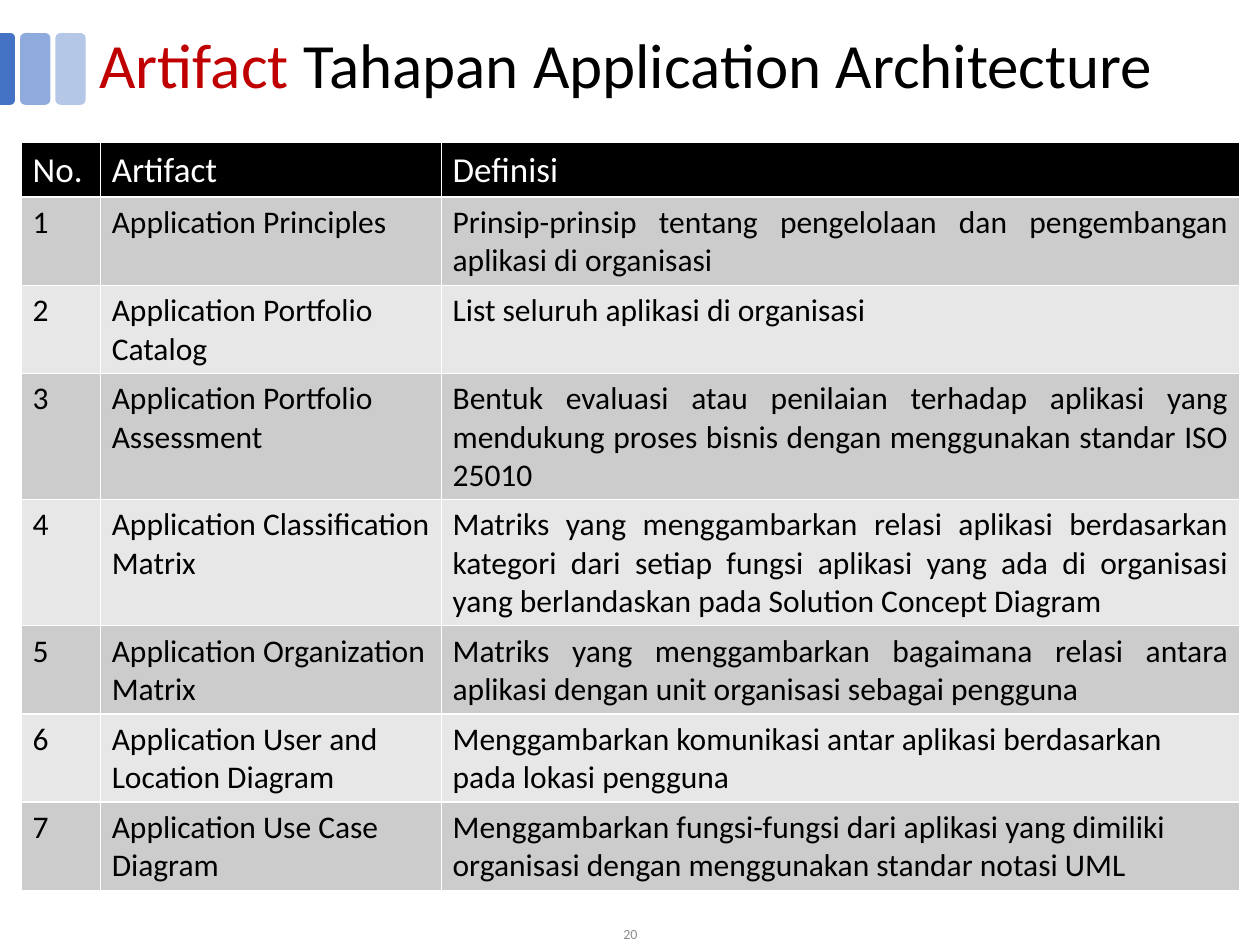
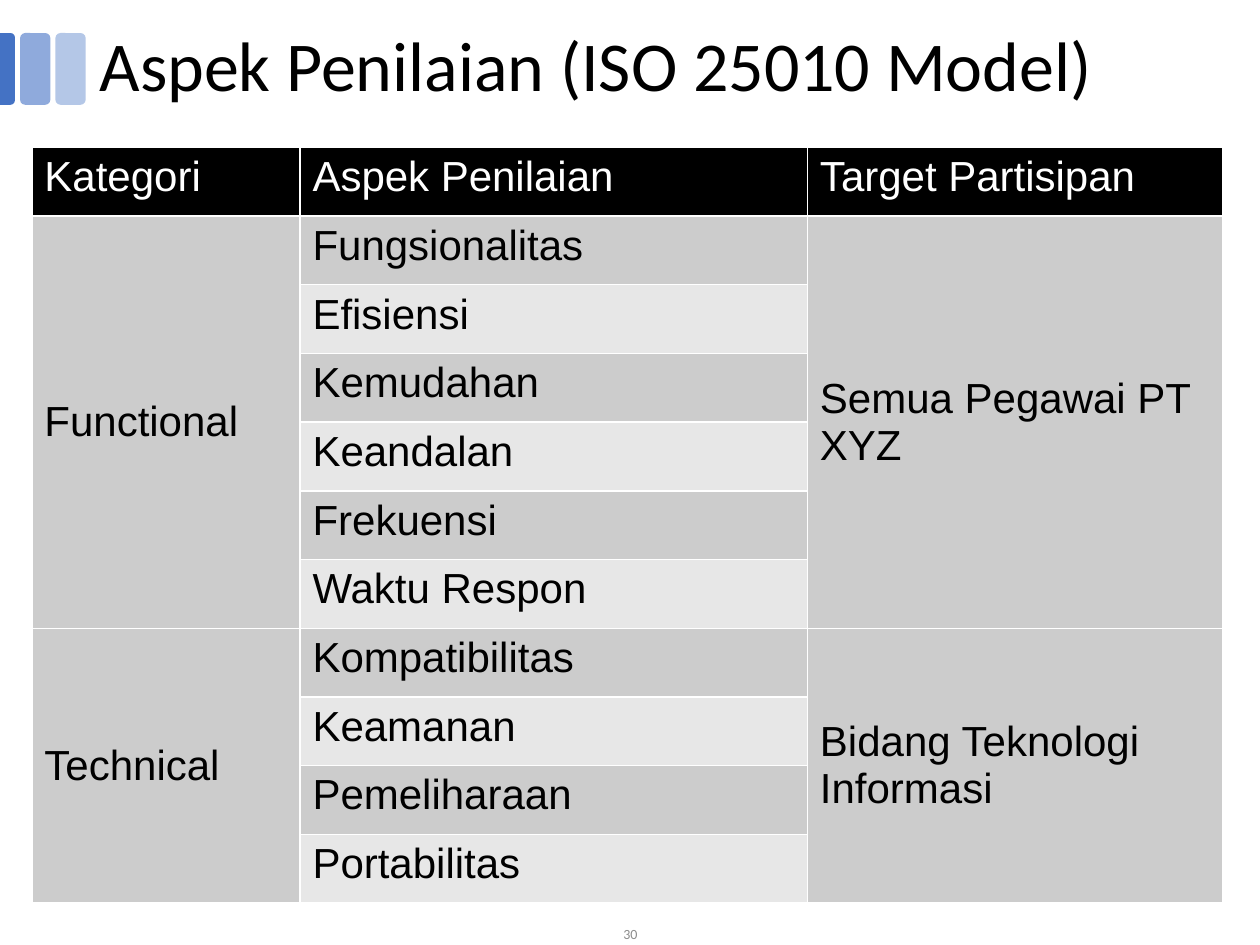
import pptx
import pptx.util
import pptx.dml.color
import pptx.enum.shapes
import pptx.enum.text

Pt = pptx.util.Pt
RGBColor = pptx.dml.color.RGBColor
SHAPE = pptx.enum.shapes.MSO_SHAPE
ALIGN = pptx.enum.text.PP_ALIGN
ANCHOR = pptx.enum.text.MSO_ANCHOR

BLACK = RGBColor(0x00, 0x00, 0x00)
WHITE = RGBColor(0xFF, 0xFF, 0xFF)
RED = RGBColor(0xC0, 0x00, 0x00)
GRAY = RGBColor(0x8C, 0x8C, 0x8C)
DARK_BAND = RGBColor(0xCC, 0xCC, 0xCC)
LIGHT_BAND = RGBColor(0xE7, 0xE7, 0xE7)
BLUE = RGBColor(0x44, 0x72, 0xC4)
MID_BLUE = RGBColor(0x8F, 0xAA, 0xDC)
PALE_BLUE = RGBColor(0xB4, 0xC7, 0xE7)

HEADING_FONT = "Calibri"
TITLE_ONLY = 5

ARTIFACT_ROWS = [
    ("No.", "Artifact", "Definisi"),
    ("1", "Application Principles",
     "Prinsip-prinsip tentang pengelolaan dan pengembangan aplikasi di organisasi"),
    ("2", "Application Portfolio Catalog",
     "List seluruh aplikasi di organisasi"),
    ("3", "Application Portfolio Assessment",
     "Bentuk evaluasi atau penilaian terhadap aplikasi yang mendukung proses bisnis "
     "dengan menggunakan standar ISO 25010"),
    ("4", "Application Classification Matrix",
     "Matriks yang menggambarkan relasi aplikasi berdasarkan kategori dari setiap fungsi "
     "aplikasi yang ada di organisasi yang berlandaskan pada Solution Concept Diagram"),
    ("5", "Application Organization Matrix",
     "Matriks yang menggambarkan bagaimana relasi antara aplikasi dengan unit organisasi "
     "sebagai pengguna"),
    ("6", "Application User and Location Diagram",
     "Menggambarkan komunikasi antar aplikasi berdasarkan pada lokasi pengguna"),
    ("7", "Application Use Case Diagram",
     "Menggambarkan fungsi-fungsi dari aplikasi yang dimiliki organisasi dengan "
     "menggunakan standar notasi UML"),
]
JUSTIFIED_ROWS = range(1, 6)

ASPECT_HEADER = ("Kategori", "Aspek Penilaian", "Target Partisipan")
ASPECT_GROUPS = [
    ("Functional", "Semua Pegawai PT XYZ",
     ["Fungsionalitas", "Efisiensi", "Kemudahan", "Keandalan", "Frekuensi", "Waktu Respon"]),
    ("Technical", "Bidang Teknologi Informasi",
     ["Kompatibilitas", "Keamanan", "Pemeliharaan", "Portabilitas"]),
]


def format_span(span, font, size, color):
    span.font.name = font
    span.font.size = Pt(size)
    span.font.bold = False
    span.font.color.rgb = color


def add_bar(page, kind, color, left, top, width, height):
    bar = page.shapes.add_shape(kind, Pt(left), Pt(top), Pt(width), Pt(height))
    bar.shadow.inherit = False
    bar.fill.solid()
    bar.fill.fore_color.rgb = color
    bar.line.fill.background()
    return bar


def add_marker(page, left, top, height):
    width, edge = 17.3, 8.5
    for offset, color in ((31.7, PALE_BLUE), (11.5, MID_BLUE)):
        add_bar(page, SHAPE.ROUNDED_RECTANGLE, color, left + offset, top, width, height)
    edge_bar = add_bar(page, SHAPE.ROUND_2_SAME_RECTANGLE, BLUE,
                       left + (edge - height) / 2, top + (height - edge) / 2, height, edge)
    edge_bar.adjustments[0] = 0.29
    edge_bar.rotation = 90


def add_title(page, pieces, size, left, top, width, height):
    box = page.shapes.title
    box.left, box.top, box.width, box.height = Pt(left), Pt(top), Pt(width), Pt(height)
    frame = box.text_frame
    frame.vertical_anchor = ANCHOR.MIDDLE
    frame.auto_size = pptx.enum.text.MSO_AUTO_SIZE.NONE
    para = frame.paragraphs[0]
    para.alignment = ALIGN.LEFT
    para.line_spacing = 0.9
    for text, color in pieces:
        span = para.add_run()
        span.text = text
        format_span(span, HEADING_FONT, size, color)


def add_page_number(page, number, left, top, width, height):
    box = page.shapes.add_textbox(Pt(left), Pt(top), Pt(width), Pt(height))
    frame = box.text_frame
    frame.word_wrap = True
    frame.vertical_anchor = ANCHOR.MIDDLE
    frame.margin_top = frame.margin_bottom = 0
    frame.text = str(number)
    para = frame.paragraphs[0]
    para.alignment = ALIGN.CENTER
    format_span(para.runs[0], HEADING_FONT, 8, GRAY)


def add_page(deck, title_pieces, title_size, number):
    page = deck.slides.add_slide(deck.slide_layouts[TITLE_ONLY])
    add_marker(page, 0, 18.9, 41)
    add_title(page, title_pieces, title_size, 49.7, 12.2, 669.6, 54)
    add_page_number(page, number, 279.3, 527, 162, 13)
    return page


def add_grid(page, rows, left, top, widths, heights, font, header_size, body_size):
    frame = page.shapes.add_table(len(rows), len(widths), Pt(left), Pt(top),
                                  Pt(sum(widths)), Pt(sum(heights)))
    table = frame.table
    for column, width in zip(table.columns, widths):
        column.width = Pt(width)
    for row_index, (texts, height) in enumerate(zip(rows, heights)):
        table.rows[row_index].height = Pt(height)
        is_header = row_index == 0
        band = BLACK if is_header else DARK_BAND if row_index % 2 else LIGHT_BAND
        size = header_size if is_header else body_size
        for column_index, text in enumerate(texts):
            cell = table.cell(row_index, column_index)
            cell.fill.solid()
            cell.fill.fore_color.rgb = band
            cell.text = text
            for span in cell.text_frame.paragraphs[0].runs:
                format_span(span, font, size, WHITE if is_header else BLACK)
    return table


def add_artifact_table(page, left, top):
    heights = [30.5, 49, 49, 70, 70, 49, 49, 49]
    table = add_grid(page, ARTIFACT_ROWS, left, top, [45.2, 194.8, 455.8], heights,
                     "Calibri", 20, 18)
    for cell in table.iter_cells():
        cell.margin_left = cell.margin_right = Pt(6.3)
        cell.margin_top = cell.margin_bottom = Pt(3.6)
    for row_index in JUSTIFIED_ROWS:
        table.cell(row_index, 2).text_frame.paragraphs[0].alignment = ALIGN.JUSTIFY


def add_aspect_table(page, left, top):
    rows = [ASPECT_HEADER]
    for category, target, aspects in ASPECT_GROUPS:
        rows.append((category, aspects[0], target))
        rows.extend(("", aspect, "") for aspect in aspects[1:])
    table = add_grid(page, rows, left, top, [153.2, 290, 237.4], [39.27] * len(rows),
                     "Arial", 24, 24)
    first = 1
    for category, target, aspects in ASPECT_GROUPS:
        last = first + len(aspects) - 1
        for column_index in (0, 2):
            cell = table.cell(first, column_index)
            cell.merge(table.cell(last, column_index))
            cell.vertical_anchor = ANCHOR.MIDDLE
        first = last + 1


def main():
    deck = pptx.Presentation()
    deck.slide_width, deck.slide_height = Pt(720), Pt(540)

    artifact_title = [("Artifact", RED), (" Tahapan Application Architecture", BLACK)]
    add_artifact_table(add_page(deck, artifact_title, 36, 20), 12.4, 81.4)

    aspect_title = [("Aspek Penilaian (ISO 25010 Model)", BLACK)]
    add_aspect_table(add_page(deck, aspect_title, 40, 30), 18.2, 84.2)

    deck.save("out.pptx")


if __name__ == "__main__":
    main()
